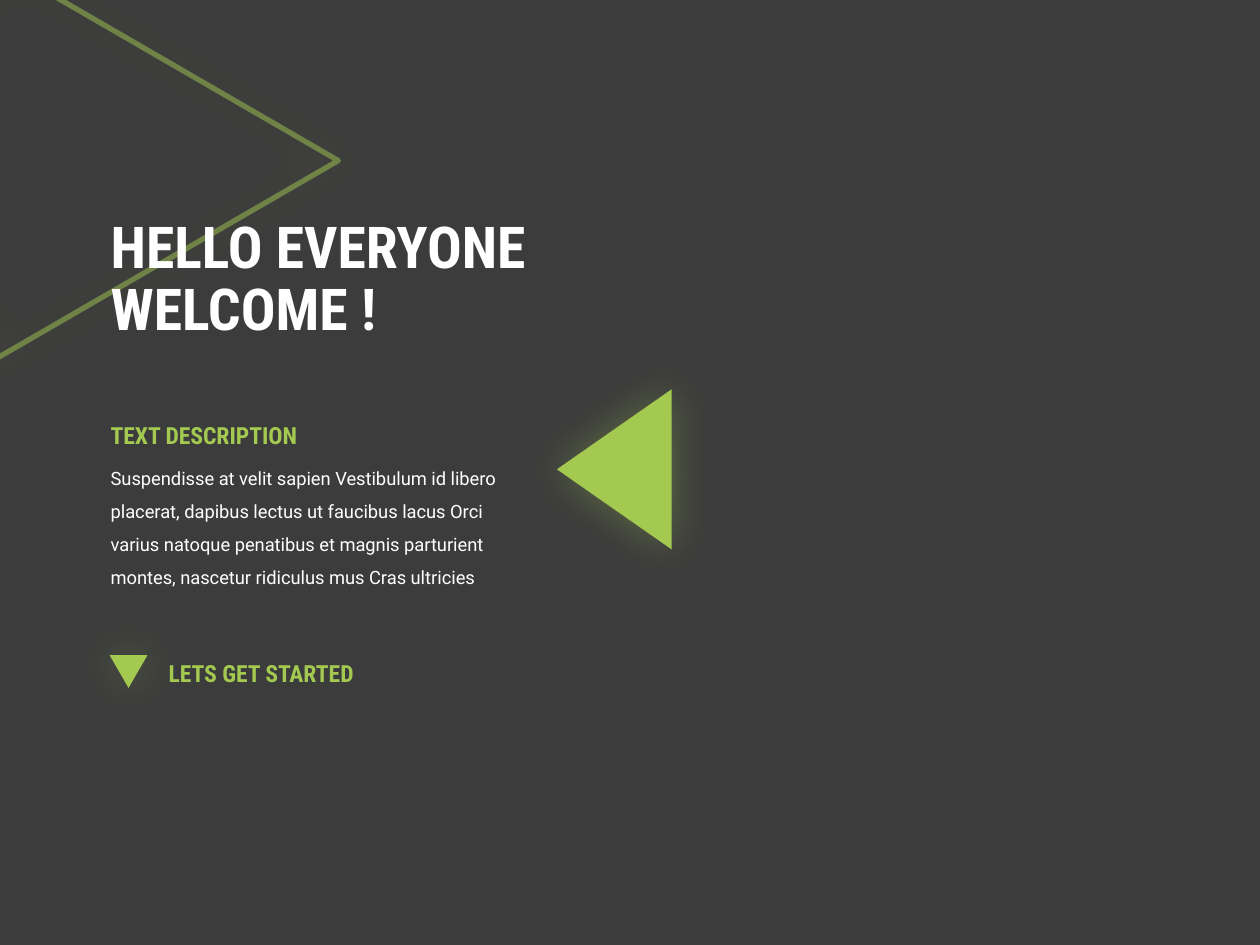
from lxml.etree import SubElement
from pptx import Presentation
from pptx.dml.color import RGBColor
from pptx.enum.shapes import MSO_SHAPE
from pptx.enum.text import MSO_ANCHOR, MSO_AUTO_SIZE
from pptx.oxml.ns import qn
from pptx.util import Inches, Pt

COLS, ROWS = 100, 75
CELL = Inches(0.1)
MARGIN = 7.8
COLORS = {"back": "3C3C3C", "accent": "A3C951", "text": "FFFFFF"}
HEAD_FONT, BODY_FONT = "Roboto Condensed", "Roboto"


def rgb(name):
    return RGBColor.from_string(COLORS[name])


def grid(*cells):
    """Turn columns and rows into lengths."""
    return [int(n * CELL) for n in cells]


def add_alpha(color, percent):
    SubElement(color, qn("a:alpha"), val=str(percent * 1000))


def add_glow(sp, blur=25, opacity=35):
    """Surround the shape with a centred, blurred accent shadow."""
    sp.shadow.inherit = False
    effects = sp._element.spPr.find(qn("a:effectLst"))
    shadow = SubElement(effects, qn("a:outerShdw"), blurRad=str(Pt(blur)),
                        dist="0", dir="0", algn="ctr", rotWithShape="0")
    color = SubElement(shadow, qn("a:srgbClr"), val=COLORS["accent"])
    add_alpha(color, opacity)


def add_triangle(s, box, rotation, outlined=False):
    sp = s.shapes.add_shape(MSO_SHAPE.ISOSCELES_TRIANGLE, *grid(*box))
    sp.rotation = rotation
    if outlined:
        sp.fill.background()
        sp.line.color.rgb = rgb("accent")
        sp.line.width = Pt(3)
        add_alpha(sp.line._ln.find(".//" + qn("a:srgbClr")), 50)
    else:
        sp.fill.solid()
        sp.fill.fore_color.rgb = rgb("accent")
        sp.line.fill.background()
    add_glow(sp)


def add_text(s, box, text, size, font=HEAD_FONT, color="text", bold=True,
             spacing=1.0, anchor=MSO_ANCHOR.TOP, auto_size=MSO_AUTO_SIZE.NONE):
    tf = s.shapes.add_textbox(*grid(*box)).text_frame
    tf.word_wrap = True
    tf.auto_size = auto_size
    tf.vertical_anchor = anchor
    p = tf.paragraphs[0]
    p.text = text
    p.line_spacing = spacing
    p.font.name = font
    p.font.size = Pt(size)
    p.font.bold = bold
    p.font.color.rgb = rgb(color)


def add_heading(s, left, top, text):
    add_text(s, (left, top, 18.4, 3.3), text, 13.5, color="accent",
             auto_size=MSO_AUTO_SIZE.SHAPE_TO_FIT_TEXT)


def main():
    prs = Presentation()
    prs.slide_width, prs.slide_height = grid(COLS, ROWS)
    s = prs.slides.add_slide(prs.slide_layouts[6])
    s.background.fill.solid()
    s.background.fill.fore_color.rgb = rgb("back")

    add_triangle(s, (-3.9, -1.5, 33, 28.5), 90, outlined=True)
    add_text(s, (MARGIN, 14.4, 42.2, 15.8), "HELLO EVERYONE\vWELCOME !", 33,
             spacing=0.9, anchor=MSO_ANCHOR.MIDDLE)
    add_triangle(s, (42.4, 32.7, 12.7, 9.1), 270)
    add_text(s, (MARGIN, 35.7, 33.8, 11.3),
             "Suspendisse at velit sapien Vestibulum id libero placerat, "
             "dapibus lectus ut faucibus lacus Orci varius natoque penatibus "
             "et magnis parturient montes, nascetur ridiculus mus Cras ultricies",
             10.5, font=BODY_FONT, bold=False, spacing=1.5,
             auto_size=MSO_AUTO_SIZE.SHAPE_TO_FIT_TEXT)
    add_heading(s, MARGIN, 32.9, "TEXT DESCRIPTION")
    add_triangle(s, (8.7, 52, 3, 2.6), 180)
    add_heading(s, 12.4, 51.8, "LETS GET STARTED")
    prs.save("out.pptx")


if __name__ == "__main__":
    main()
